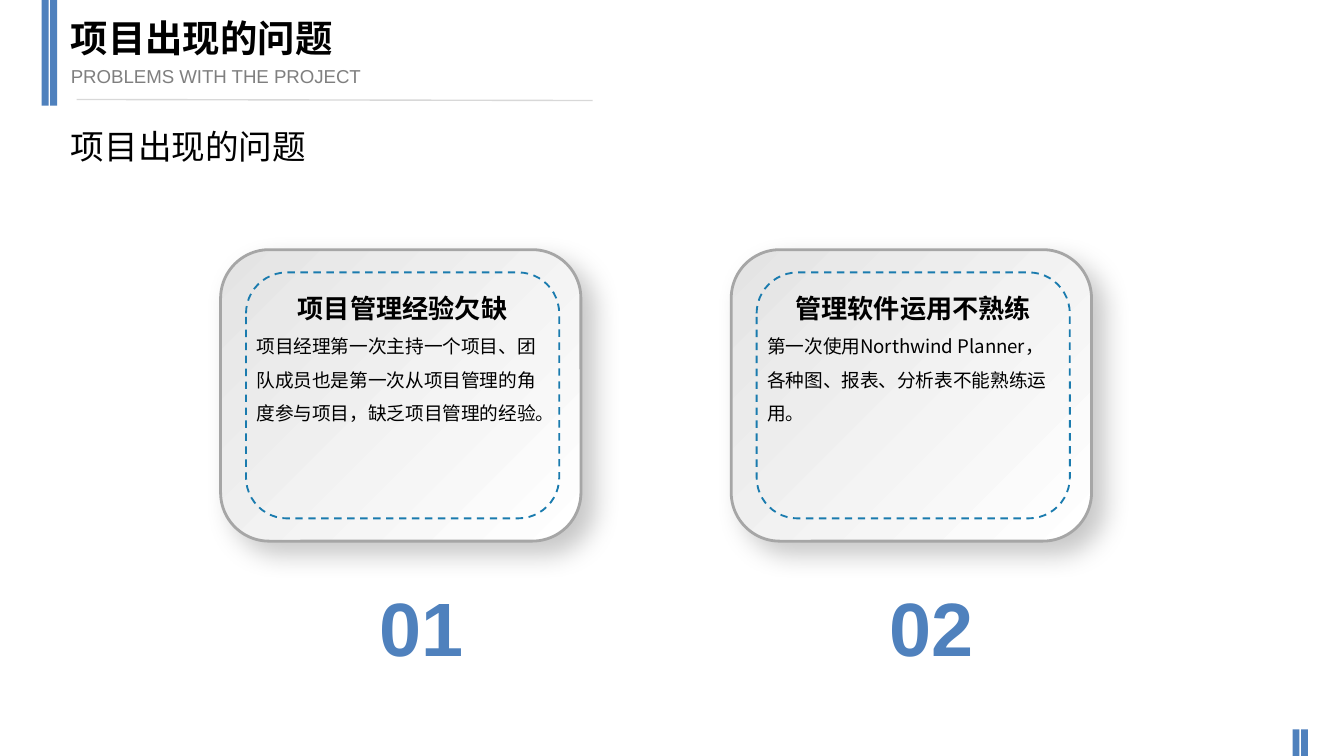
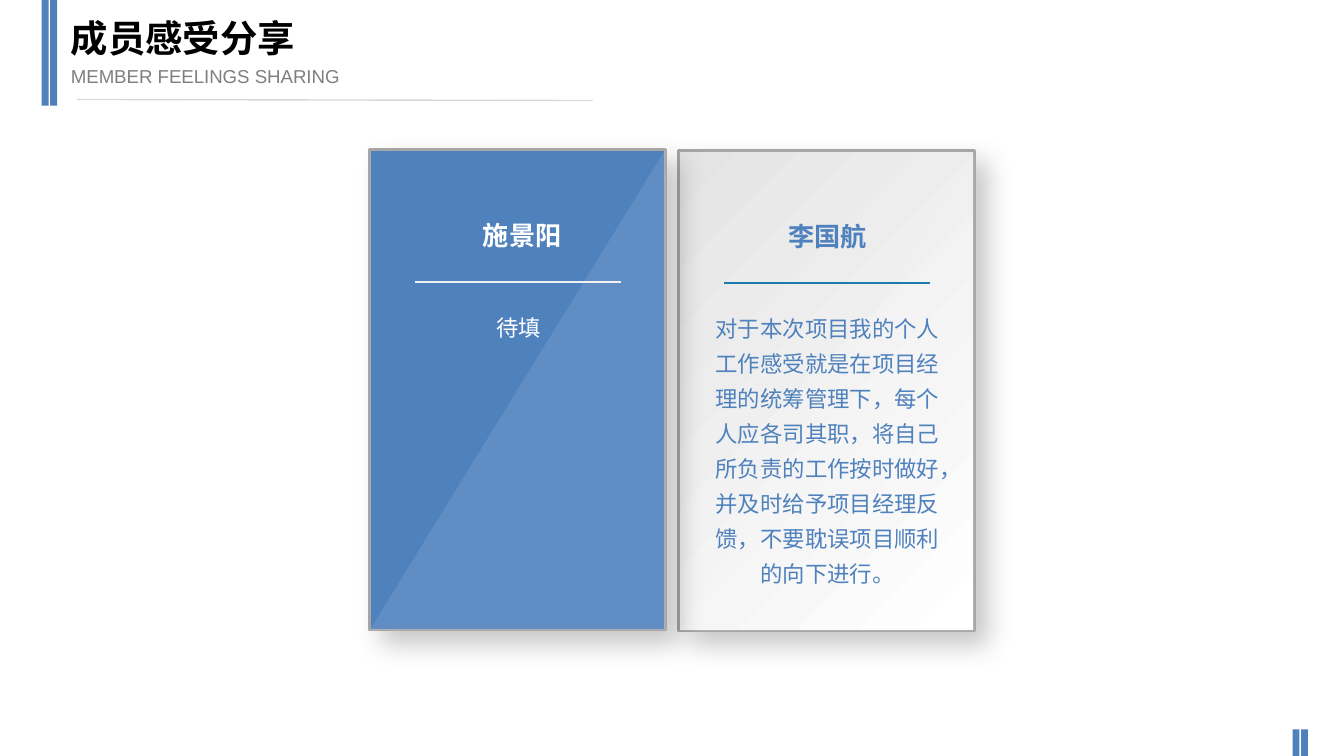
from lxml.etree import SubElement
from pptx import Presentation
from pptx.dml.color import RGBColor
from pptx.enum.dml import MSO_LINE_DASH_STYLE as DASH
from pptx.enum.shapes import MSO_CONNECTOR, MSO_SHAPE as SHAPE
from pptx.enum.text import PP_ALIGN as ALIGN
from pptx.oxml.ns import qn
from pptx.util import Cm, Pt

BLUE = RGBColor(0x4F, 0x81, 0xBD)
TEAL = RGBColor(0x1A, 0x7B, 0xAE)
BLACK = RGBColor(0, 0, 0)
WHITE = RGBColor(0xFF, 0xFF, 0xFF)
OFF_WHITE = RGBColor(0xF2, 0xF2, 0xF2)
PALE = RGBColor(0xE4, 0xE4, 0xE4)
RULE_GREY = RGBColor(0xD8, 0xD8, 0xD8)
EDGE_GREY = RGBColor(0xA6, 0xA6, 0xA6)
TEXT_GREY = RGBColor(0x7F, 0x7F, 0x7F)
ARIAL = "Arial"
NOTO = "Noto Sans CJK SC"
TIGHT = (0.2, 0.1)
LOOSE = (0.25, 0.13)


def write(p, text, size=12, color=BLACK, font=ARIAL, bold=False,
          align=ALIGN.LEFT, spacing=None, before=0):
    p.alignment = align
    p.space_before = Pt(before)
    if spacing:
        p.line_spacing = spacing
    r = p.add_run()
    r.text = text
    r.font.size = Pt(size)
    r.font.bold = bold
    r.font.name = font
    r.font.color.rgb = color
    SubElement(r.font._element, qn("a:ea"), typeface=NOTO)


class Deck:
    """Holds the presentation, the current slide and the shared style."""

    def __init__(self):
        self.prs = Presentation()
        self.prs.slide_width = Cm(25.4)
        self.prs.slide_height = Cm(14.29)

    def new_slide(self, title, subtitle):
        self.s = self.prs.slides.add_slide(self.prs.slide_layouts[6])
        for x, y, h in ((0.79, 0, 2), (24.43, 13.79, 0.5)):
            for dx in (0, 0.16):
                self.shape(SHAPE.RECTANGLE, x + dx, y, 0.13, h, fill=BLUE)
        self.line(1.45, 1.88, 11.2, 1.9, RULE_GREY)
        self.text(1.09, 1.09, 8, 0.69, (subtitle, dict(size=10, color=TEXT_GREY, before=2)))
        self.text(1.09, 0.15, 10.26, 1.27, (title, dict(size=20, bold=True, before=4)))

    def shape(self, kind, x, y, w, h, fill=None, line=None, width=1, dash=None):
        sp = self.s.shapes.add_shape(kind, Cm(x), Cm(y), Cm(w), Cm(h))
        sp.shadow.inherit = False
        if fill is None:
            sp.fill.background()
        else:
            sp.fill.solid()
            sp.fill.fore_color.rgb = fill
        if line is None:
            sp.line.fill.background()
        else:
            sp.line.color.rgb = line
            sp.line.width = Pt(width)
            sp.line.dash_style = dash
        return sp

    def panel(self, kind, x, y, w, h, fill=None):
        """Edged shape with a soft shadow; a pale gradient unless fill is given."""
        sp = self.shape(kind, x, y, w, h, fill, EDGE_GREY, 1.5)
        if fill is None:
            sp.fill.gradient()
            sp.fill.gradient_angle = 315
            for stop, color in zip(sp.fill.gradient_stops, (PALE, WHITE)):
                stop.color.rgb = color
        effects = sp._element.spPr.find(qn("a:effectLst"))
        shadow = SubElement(effects, qn("a:outerShdw"), blurRad=str(Pt(14)),
                            dist=str(Pt(9)), dir="2700000", algn="tl", rotWithShape="0")
        color = SubElement(shadow, qn("a:srgbClr"), val=str(BLACK))
        SubElement(color, qn("a:alpha"), val="22000")

    def sheen(self, x, y, w, h):
        """Faint white triangle over the lower right half of a panel."""
        sp = self.shape(SHAPE.RIGHT_TRIANGLE, x, y, w, h, fill=WHITE)
        spPr = sp._element.spPr
        spPr.find(qn("a:xfrm")).set("flipH", "1")
        color = spPr.find(qn("a:solidFill")).find(qn("a:srgbClr"))
        SubElement(color, qn("a:alpha"), val="10000")

    def line(self, x1, y1, x2, y2, color):
        cx = self.s.shapes.add_connector(MSO_CONNECTOR.STRAIGHT, Cm(x1), Cm(y1), Cm(x2), Cm(y2))
        cx.line.color.rgb = color
        cx.line.width = Pt(0.75)
        SubElement(cx._element.spPr, qn("a:effectLst"))

    def text(self, x, y, w, h, *paragraphs, inset=LOOSE, wrap=True):
        """Each paragraph is a pair: its text and the keyword arguments of write."""
        tf = self.s.shapes.add_textbox(Cm(x), Cm(y), Cm(w), Cm(h)).text_frame
        tf.word_wrap = wrap
        tf.margin_left = tf.margin_right = Cm(inset[0])
        tf.margin_top = tf.margin_bottom = Cm(inset[1])
        for i, (text, style) in enumerate(paragraphs):
            write(tf.add_paragraph() if i else tf.paragraphs[0], text, **style)

    def problem_card(self, x, y, number, heading, body):
        self.text(x + 2.62, y + 6.17, 2.34, 1.7,
                  (number, dict(size=40.5, color=BLUE, bold=True, align=ALIGN.CENTER)),
                  inset=TIGHT)
        self.panel(SHAPE.ROUNDED_RECTANGLE, x, y, 6.81, 5.51)
        self.shape(SHAPE.ROUNDED_RECTANGLE, x + 0.48, y + 0.43, 5.92, 4.65,
                   line=TEAL, dash=DASH.DASH)
        self.text(x + 0.48, y + 0.41, 5.92, 4.65,
                  (heading, dict(size=14, font=NOTO, bold=True,
                                 align=ALIGN.CENTER, spacing=1.5)),
                  (body, dict(size=10, font=NOTO, spacing=1.5)), inset=TIGHT)

    def member_card(self, x, y, name, body, color, rule, fill=None, name_dx=0.36):
        size = (5.59, 9.09)
        self.panel(SHAPE.RECTANGLE, x, y, *size, fill=fill)
        self.sheen(x, y, *size)
        self.text(x + name_dx, y + 1.19, 4.9, 0.86,
                  (name, dict(size=14, color=color, font=NOTO, bold=True, align=ALIGN.CENTER)))
        self.text(x + 0.36, y + 2.84, 4.9, 6,
                  (body, dict(color=color, align=ALIGN.CENTER, spacing=1.3, before=6)))
        self.line(x + 0.86, y + 2.51, x + 4.75, y + 2.51, rule)


def problems_slide(deck):
    deck.new_slide("项目出现的问题", "PROBLEMS WITH THE PROJECT")
    deck.text(1.09, 2.26, 4.95, 1.02, ("项目出现的问题", dict(size=18)), wrap=False)
    problems = (
        ("项目管理经验欠缺",
         "项目经理第一次主持一个项目、团队成员也是第一次从项目管理的角度参与项目，缺乏项目管理的经验。"),
        ("管理软件运用不熟练",
         "第一次使用Northwind Planner，各种图、报表、分析表不能熟练运用。"),
    )
    for i, (heading, body) in enumerate(problems):
        deck.problem_card(4.17 + 9.65 * i, 4.72, f"{i + 1:02}", heading, body)


def feelings_slide(deck):
    deck.new_slide("成员感受分享", "MEMBER FEELINGS SHARING")
    deck.member_card(12.83, 2.84, "李国航",
                     "对于本次项目我的个人工作感受就是在项目经理的统筹管理下，每个人应各司其职，"
                     "将自己所负责的工作按时做好，并及时给予项目经理反馈，不要耽误项目顺利的向下进行。",
                     BLUE, TEAL)
    deck.member_card(6.99, 2.82, "施景阳", "待填", WHITE, OFF_WHITE, fill=BLUE, name_dx=0.43)


def main():
    deck = Deck()
    problems_slide(deck)
    feelings_slide(deck)
    deck.prs.save("out.pptx")


if __name__ == "__main__":
    main()
